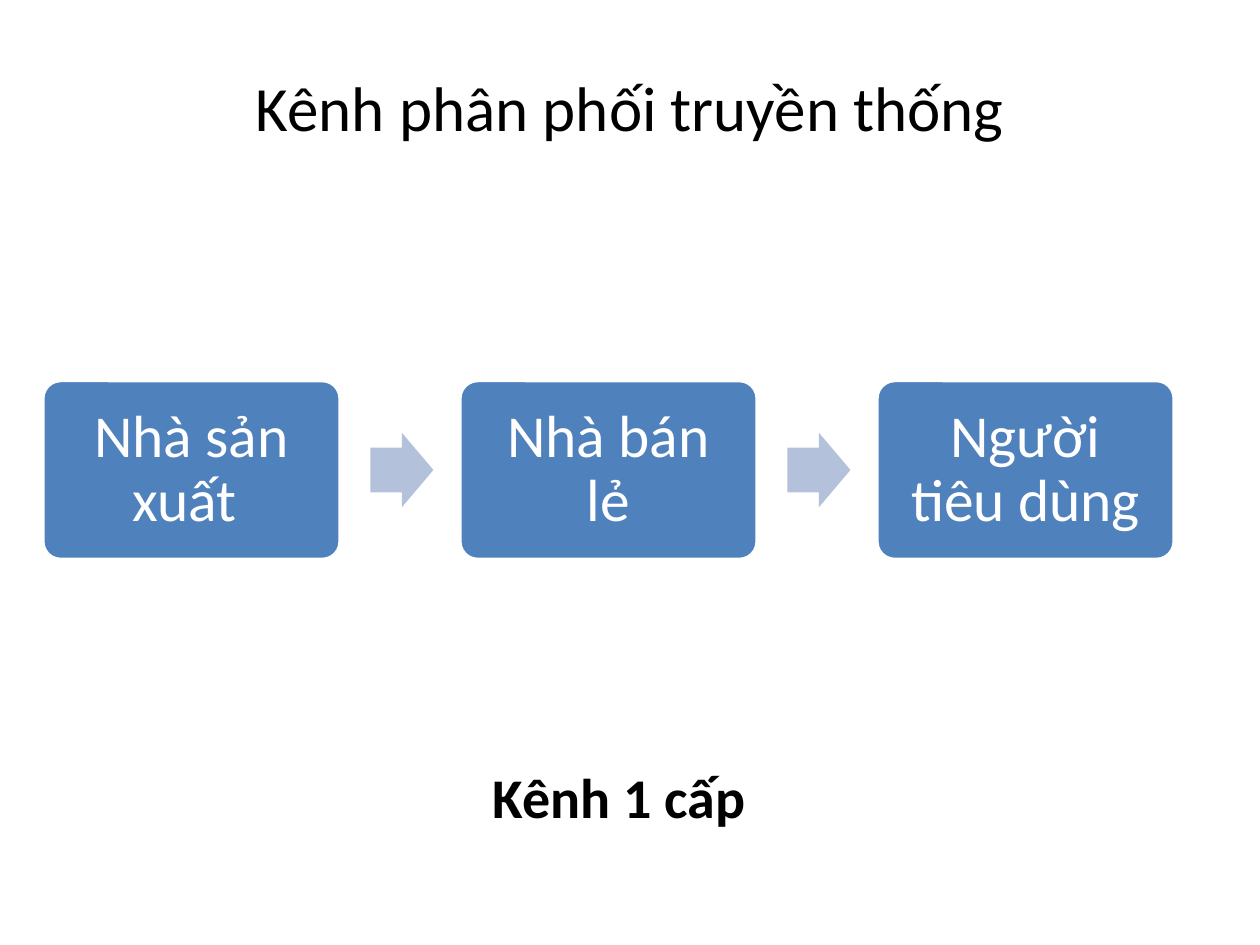
from pptx import Presentation, util as u
from pptx.dml.color import RGBColor
from pptx.enum import shapes, text

WIDTH, HEIGHT = 10, 7.5
FIRST_LEFT, PITCH, MIDDLE = 0.34, 3.31, 3.73
STAGE_SIZE = (2.36, 1.42)
ARROW_SIZE = (0.5, 0.59)
ARROW_OFFSET = 2.6
STAGES = ["Nhà sản xuất ", "Nhà bán lẻ", "Người tiêu dùng"]


def color(value):
    return RGBColor.from_string(value)


def write(s, words, size, hue="000000", bold=False, spacing=1.0, **frame):
    """Fill a shape with one centred paragraph; frame holds text frame settings."""
    tf = s.text_frame
    settings = {"word_wrap": True, "vertical_anchor": text.MSO_ANCHOR.MIDDLE, **frame}
    for name, value in settings.items():
        setattr(tf, name, value)
    p = tf.paragraphs[0]
    p.alignment, p.line_spacing = text.PP_ALIGN.CENTER, spacing
    r = p.add_run()
    r.text = words
    r.font.color.rgb = color(hue)
    for name, value in {"name": "Calibri", "size": u.Pt(size), "bold": bold}.items():
        setattr(r.font, name, value)


def add_label(sp, box, words, size, **options):
    write(sp.add_textbox(*map(u.Inches, box)), words, size, **options)


def add_block(sp, kind, left, size, fill, adjustments):
    """Add a borderless preset shape centred on the row's middle line."""
    width, height = size
    box = (left, MIDDLE - height / 2, width, height)
    s = sp.add_shape(kind, *map(u.Inches, box))
    s.shadow.inherit = False
    s.fill.solid()
    s.fill.fore_color.rgb = color(fill)
    s.line.fill.background()
    for i, value in enumerate(adjustments):
        s.adjustments[i] = value
    return s


def add_stage(sp, left, words):
    s = add_block(sp, shapes.MSO_SHAPE.ROUNDED_RECTANGLE, left, STAGE_SIZE, "4F81BD", [0.1])
    s.line.color.rgb = color("FFFFFF")
    s.line.width = u.Pt(2)
    sides = ("left", "top", "right", "bottom")
    margins = {f"margin_{side}": u.Inches(0.14) for side in sides}
    write(s, words, 34, "FFFFFF", spacing=0.9, **margins)


def add_arrow(sp, left):
    add_block(sp, shapes.MSO_SHAPE.RIGHT_ARROW, left, ARROW_SIZE, "B3C1DB", [0.6, 0.5])


def main():
    prs = Presentation()
    prs.slide_width, prs.slide_height = u.Inches(WIDTH), u.Inches(HEIGHT)
    sp = prs.slides.add_slide(prs.slide_layouts[6]).shapes

    add_label(sp, (0.05 * WIDTH, 0.04 * HEIGHT, 0.9 * WIDTH, 1.7),
              "Kênh phân phối truyền thống", 36, margin_bottom=u.Inches(0.66))
    for i, words in enumerate(STAGES):
        left = FIRST_LEFT + i * PITCH
        add_stage(sp, left, words)
        if i < len(STAGES) - 1:
            add_arrow(sp, left + ARROW_OFFSET)
    add_label(sp, (3.08, 0.8 * HEIGHT, 3.67, 0.64), "Kênh 1 cấp", 32, bold=True,
              vertical_anchor=text.MSO_ANCHOR.TOP)

    prs.save("out.pptx")


if __name__ == "__main__":
    main()
